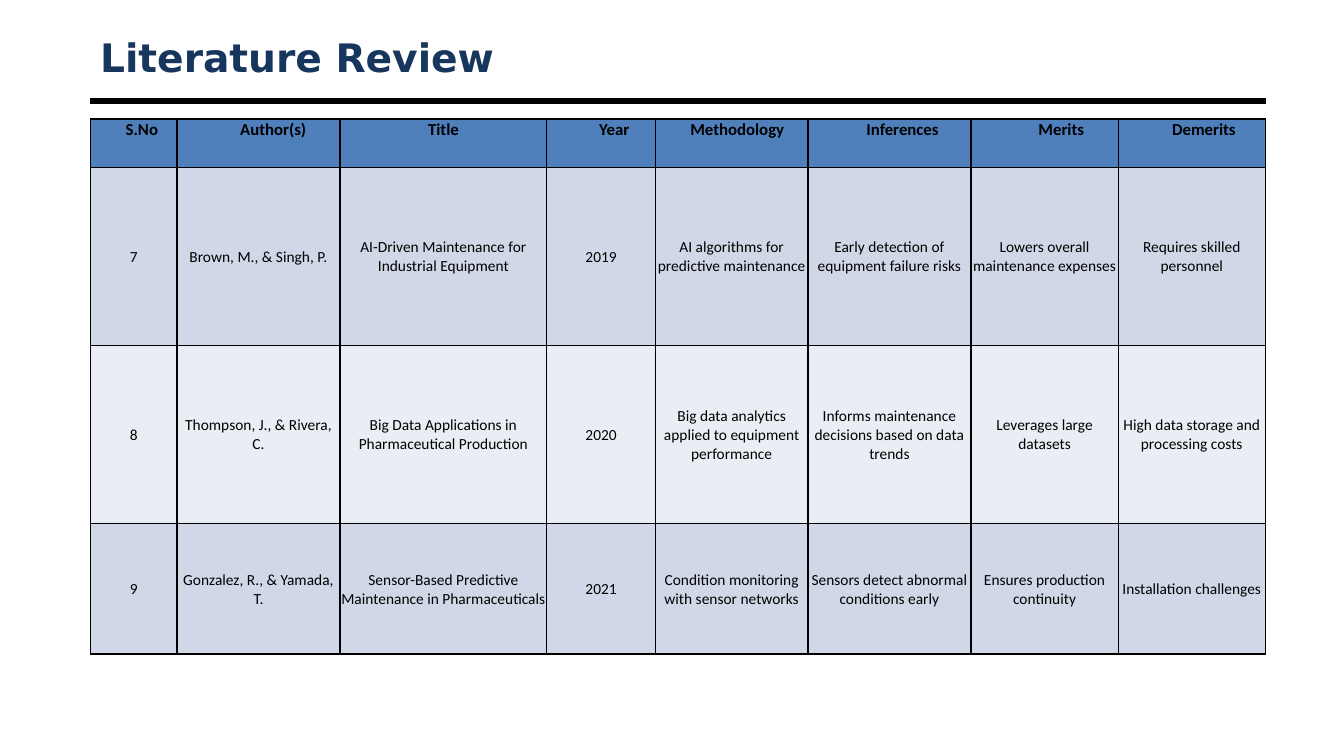
from lxml.etree import SubElement
from pptx import Presentation
from pptx.dml.color import RGBColor
from pptx.enum.shapes import MSO_CONNECTOR
from pptx.enum.text import MSO_ANCHOR, MSO_AUTO_SIZE, PP_ALIGN
from pptx.oxml import parse_xml
from pptx.oxml.ns import nsdecls, qn
from pptx.util import Cm, Pt

BLACK = RGBColor(0x00, 0x00, 0x00)
NAVY = RGBColor(0x17, 0x36, 0x5D)
HEADER_BLUE = RGBColor(0x4F, 0x80, 0xBC)
BAND_DARK = RGBColor(0xD0, 0xD8, 0xE8)
BAND_LIGHT = RGBColor(0xE9, 0xED, 0xF4)

COLUMNS = [
    ("S.No", 2.18, 0.41),
    ("Author(s)", 4.11, 0.74),
    ("Title", 5.21, 0),
    ("Year", 2.74, 0.66),
    ("Methodology", 3.84, 0.28),
    ("Inferences", 4.11, 0.66),
    ("Merits", 3.71, 0.84),
    ("Demerits", 3.71, 0.61),
]
ROW_HEIGHTS = [1.22, 4.49, 4.49, 3.28]
STUDIES = [
    ("7", "Brown, M., & Singh, P.", "AI-Driven Maintenance for Industrial Equipment", "2019",
     "AI algorithms for predictive maintenance", "Early detection of equipment failure risks",
     "Lowers overall maintenance expenses", "Requires skilled personnel"),
    ("8", "Thompson, J., & Rivera, C.", "Big Data Applications in Pharmaceutical Production", "2020",
     "Big data analytics applied to equipment performance",
     "Informs maintenance decisions based on data trends",
     "Leverages large datasets", "High data storage and processing costs"),
    ("9", "Gonzalez, R., & Yamada, T.", "Sensor-Based Predictive Maintenance in Pharmaceuticals", "2021",
     "Condition monitoring with sensor networks", "Sensors detect abnormal conditions early",
     "Ensures production continuity", "Installation challenges"),
]


class ReviewSlide:
    title_font = "DejaVu Sans"
    table_font = "Calibri"

    def __init__(self, presentation):
        self.slide = presentation.slides.add_slide(presentation.slide_layouts[5])

    def style_run(self, paragraph, font_name, size, color, bold):
        font = paragraph.runs[0].font
        font.name, font.size, font.bold = font_name, Pt(size), bold
        font.color.rgb = color

    def title(self, text, left, top, width, height):
        heading = self.slide.shapes.title
        heading.left, heading.top = Cm(left), Cm(top)
        heading.width, heading.height = Cm(width), Cm(height)
        frame = heading.text_frame
        frame.text = text
        frame.auto_size = MSO_AUTO_SIZE.NONE
        frame.vertical_anchor = MSO_ANCHOR.MIDDLE
        frame.paragraphs[0].alignment = PP_ALIGN.LEFT
        self.style_run(frame.paragraphs[0], self.title_font, 28, NAVY, True)

    def rule(self, left, right, y):
        divider = self.slide.shapes.add_connector(
            MSO_CONNECTOR.STRAIGHT, Cm(left), Cm(y), Cm(right), Cm(y))
        divider.line.color.rgb = BLACK
        divider.line.width = Pt(4.5)
        SubElement(divider._element.spPr, qn("a:effectLst"))

    def border(self, cell):
        properties = cell._tc.get_or_add_tcPr()
        for position, side in enumerate(("lnL", "lnR", "lnT", "lnB")):
            properties.insert(position, parse_xml(
                f'<a:{side} {nsdecls("a")} w="{Pt(1)}"><a:solidFill>'
                f'<a:srgbClr val="{BLACK}"/></a:solidFill></a:{side}>'))

    def cell(self, cell, text, fill, size, bold, anchor, margin, indent=0):
        cell.text_frame.text = text
        cell.margin_left = cell.margin_right = cell.margin_top = Cm(margin)
        cell.margin_bottom = 0
        cell.vertical_anchor = anchor
        cell.fill.solid()
        cell.fill.fore_color.rgb = fill
        paragraph = cell.text_frame.paragraphs[0]
        paragraph.alignment = PP_ALIGN.CENTER
        if indent:
            paragraph._p.get_or_add_pPr().set("marL", str(Cm(indent)))
        self.style_run(paragraph, self.table_font, size, BLACK, bold)
        self.border(cell)

    def table(self, left, top, columns, heights, studies):
        width = sum(column_width for _, column_width, _ in columns)
        review = self.slide.shapes.add_table(
            len(heights), len(columns), Cm(left), Cm(top), Cm(width), Cm(sum(heights))).table
        for row, height in zip(review.rows, heights):
            row.height = Cm(height)
        for c, (heading, column_width, indent) in enumerate(columns):
            review.columns[c].width = Cm(column_width)
            self.cell(review.cell(0, c), heading, HEADER_BLUE, 12, True,
                      MSO_ANCHOR.TOP, 0, indent)
        for r, study in enumerate(studies, start=1):
            band = BAND_DARK if r % 2 else BAND_LIGHT
            for c, entry in enumerate(study):
                self.cell(review.cell(r, c), entry, band, 11, False, MSO_ANCHOR.MIDDLE, 0.02)


def main():
    presentation = Presentation()
    presentation.slide_width, presentation.slide_height = Cm(33.87), Cm(19.05)
    review = ReviewSlide(presentation)
    review.rule(2.27, 31.9, 2.54)
    review.title("Literature Review", 2.27, 0.76, 29.63, 1.35)
    review.table(2.28, 3, COLUMNS, ROW_HEIGHTS, STUDIES)
    presentation.save("out.pptx")


if __name__ == "__main__":
    main()
